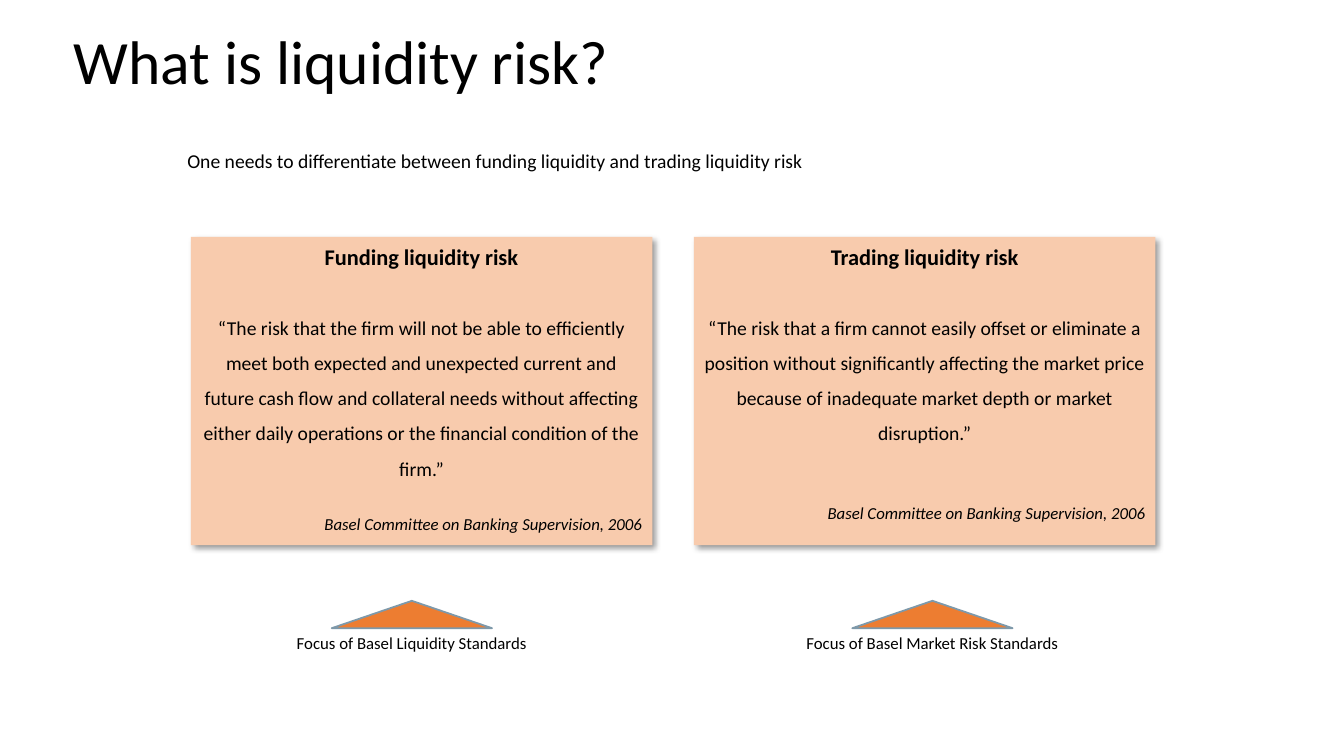
from dataclasses import dataclass

from lxml.etree import SubElement
from pptx import Presentation
from pptx.dml.color import RGBColor
from pptx.enum.shapes import MSO_SHAPE
from pptx.enum.text import MSO_ANCHOR, PP_ALIGN
from pptx.oxml.ns import qn
from pptx.util import Cm, Pt


@dataclass(frozen=True)
class Theme:
    font: str = "Calibri"
    ink: str = "000000"
    panel: str = "F8CBAD"
    arrow: str = "ED7D31"
    edge: str = "7E99AA"
    title: int = 44
    head: int = 16
    body: int = 14
    small: int = 12


class Deck:
    def __init__(self, theme):
        self.theme = theme
        self.file = Presentation()
        self.file.slide_width = Cm(33.87)
        self.file.slide_height = Cm(19.05)
        self.slide = self.file.slides.add_slide(self.file.slide_layouts[5])

    def style(self, para, size, align=PP_ALIGN.LEFT, bold=False, italic=False):
        para.alignment = align
        for run in para.runs:
            font = run.font
            font.name, font.size = self.theme.font, Pt(size)
            font.bold, font.italic = bold, italic
            font.color.rgb = RGBColor.from_string(self.theme.ink)

    def title(self, text, left, top, width, height):
        shape = self.slide.shapes.title
        shape.left, shape.top = Cm(left), Cm(top)
        shape.width, shape.height = Cm(width), Cm(height)
        frame = shape.text_frame
        frame.text = text
        frame.vertical_anchor = MSO_ANCHOR.MIDDLE
        frame.paragraphs[0].line_spacing = 0.9
        self.style(frame.paragraphs[0], self.theme.title)

    def label(self, text, size, left, top, width, height, align=PP_ALIGN.LEFT):
        box = self.slide.shapes.add_textbox(Cm(left), Cm(top), Cm(width), Cm(height))
        frame = box.text_frame
        frame.word_wrap = True
        frame.text = text
        self.style(frame.paragraphs[0], size, align)

    def shape(self, kind, fill, left, top, width, height):
        shape = self.slide.shapes.add_shape(
            kind, Cm(left), Cm(top), Cm(width), Cm(height))
        shape.shadow.inherit = False
        shape.fill.solid()
        shape.fill.fore_color.rgb = RGBColor.from_string(fill)
        return shape

    def shade(self, shape):
        """Give the shape a soft shadow to its lower right."""
        effects = shape._element.spPr.find(qn("a:effectLst"))
        outer = SubElement(effects, qn("a:outerShdw"), blurRad=str(Pt(4)),
                           dist=str(Pt(3)), dir="2700000", algn="tl", rotWithShape="0")
        color = SubElement(outer, qn("a:srgbClr"), val=self.theme.ink)
        SubElement(color, qn("a:alpha"), val="40000")

    def panel(self, head, quote, source, gap, left, top, width, height):
        theme = self.theme
        box = self.shape(MSO_SHAPE.RECTANGLE, theme.panel, left, top, width, height)
        box.line.fill.background()
        self.shade(box)
        frame = box.text_frame
        frame.word_wrap = True
        frame.vertical_anchor = MSO_ANCHOR.TOP
        frame.margin_top = Cm(0.16)
        frame.text = "\n".join((head, quote, source))
        first, middle, last = frame.paragraphs
        self.style(first, theme.head, PP_ALIGN.CENTER, bold=True)
        middle.line_spacing = 1.5
        middle.space_before = Pt(24)
        self.style(middle, theme.body, PP_ALIGN.CENTER)
        last.space_before = Pt(gap)
        self.style(last, theme.small, PP_ALIGN.RIGHT, italic=True)

    def focus(self, text, center, top):
        """Draw an upward triangle with its caption below."""
        wide, high, span = 4.04, 0.69, 8.66
        mark = self.shape(MSO_SHAPE.ISOSCELES_TRIANGLE, self.theme.arrow,
                          center - wide / 2, top, wide, high)
        mark.line.color.rgb = RGBColor.from_string(self.theme.edge)
        mark.line.width = Pt(1.25)
        self.label(text, self.theme.small, center - span / 2, top + high,
                   span, 1.02, PP_ALIGN.CENTER)


RISKS = [
    ("Funding liquidity risk",
     "“The risk that the firm will not be able to efficiently meet both expected "
     "and unexpected current and future cash flow and collateral needs without "
     "affecting either daily operations or the financial condition of the firm.”",
     24, "Focus of Basel Liquidity Standards"),
    ("Trading liquidity risk",
     "“The risk that a firm cannot easily offset or eliminate a position without "
     "significantly affecting the market price because of inadequate market depth "
     "or market disruption.”",
     41, "Focus of Basel Market Risk Standards"),
]
SOURCE = "Basel Committee on Banking Supervision, 2006"


def main():
    deck = Deck(Theme())
    deck.title("What is liquidity risk?", 1.6, 0.43, 26.54, 2.39)
    deck.label("One needs to differentiate between funding liquidity and trading "
               "liquidity risk", deck.theme.body, 4.47, 3.63, 24.94, 1.3)
    for col, (head, quote, gap, note) in enumerate(RISKS):
        deck.panel(head, quote, SOURCE, gap, 4.81 + 12.68 * col, 5.97, 11.63, 7.77)
        deck.focus(note, 10.38 + 13.12 * col, 15.14)
    deck.file.save("out.pptx")


if __name__ == "__main__":
    main()
